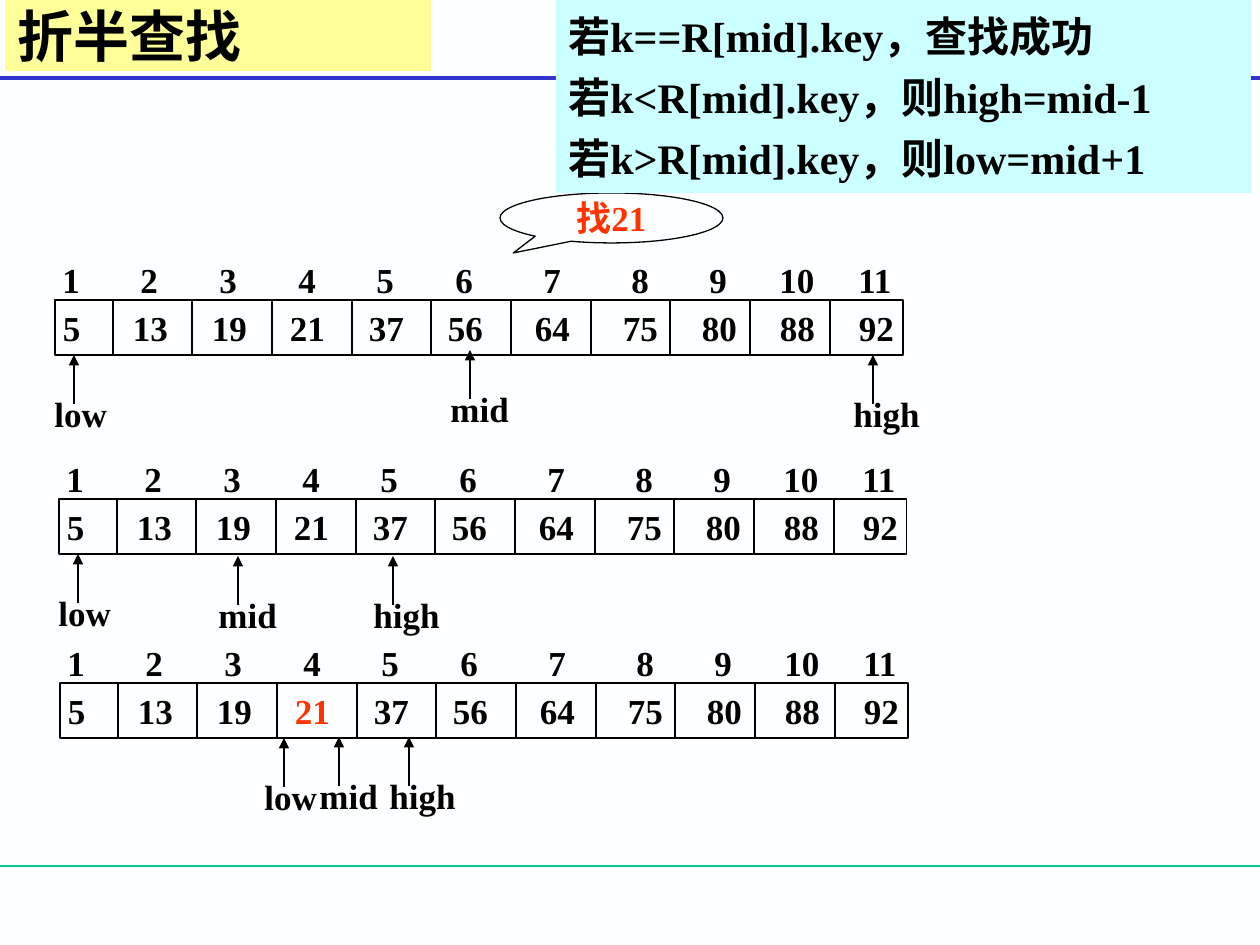
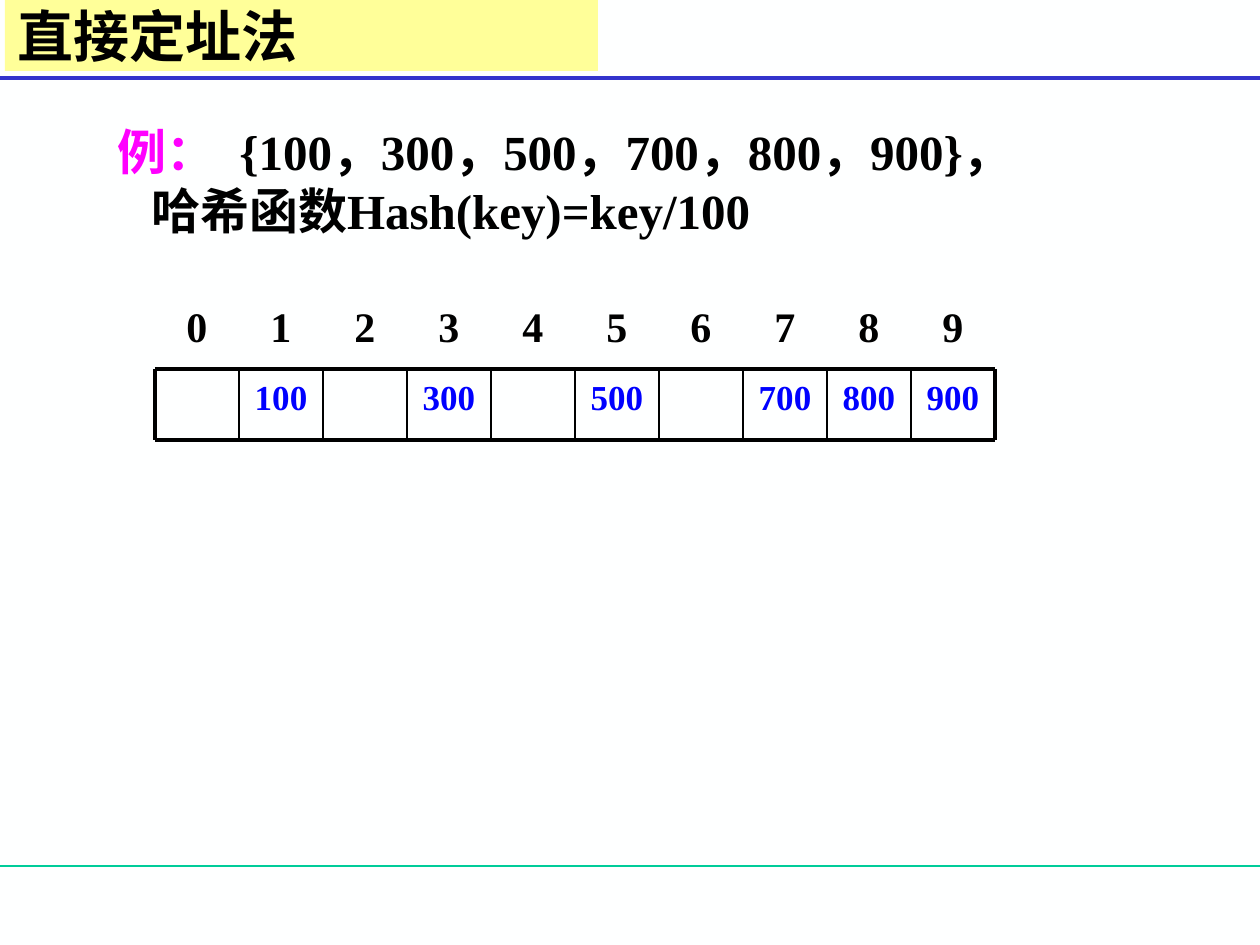
"""Build two slides on binary search and direct-address hashing."""
import lxml.etree
import pptx
import pptx.dml.color
import pptx.enum.shapes
import pptx.enum.text
import pptx.oxml.ns
import pptx.util

PX = 914400 // 126
WIDTH, HEIGHT = 1260, 945
LATIN, CJK = "Times New Roman", "Noto Sans CJK SC"
COLOURS = {
    "background": "FEFFFF", "black": "000000", "red": "FF3300",
    "blue": "0000FF", "magenta": "FF00FF", "title": "FFFF99",
    "rules": "CCFFFF", "header_line": "3333CC", "footer_line": "00CC99",
}
ALIGN = pptx.enum.text.PP_ALIGN
SHAPE = pptx.enum.shapes.MSO_SHAPE

INDEXES = [str(number) for number in range(1, 12)]
KEYS = "5 13 19 21 37 56 64 75 80 88 92".split()
INDEX_TABS = [78, 157, 236, 314, 393, 481, 569, 647, 717, 796]
KEY_TABS = [70, 149, 227, 306, 385, 472, 560, 639, 717, 796]
ARRAY_WIDTH, ARRAY_HEIGHT = 848, 55
LABEL_WIDTHS = {"low": 77, "mid": 83, "high": 91}
SEARCH_STEPS = [
    (55, 300, None, [("low", 74, 355), ("mid", 470, 350), ("high", 873, 355)]),
    (59, 499, None, [("low", 78, 554), ("mid", 238, 556), ("high", 393, 556)]),
    (60, 683, "21", [("low", 284, 738), ("mid", 339, 737), ("high", 409, 737)]),
]
RULES = [
    "若k==R[mid].key，查找成功",
    "若k<R[mid].key，则high=mid-1",
    "若k>R[mid].key，则low=mid+1",
]
BUCKETS = 10
BUCKET_LEFT, BUCKET_TOP, BUCKET_WIDTH, BUCKET_HEIGHT = 155, 369, 84, 71


def emu(*lengths):
    """Turn px lengths into EMU."""
    return [length * PX for length in lengths]


def rgb(name):
    """Return a named colour."""
    return pptx.dml.color.RGBColor.from_string(COLOURS[name])


def add_child(parent, tag, **attributes):
    """Append a DrawingML element to a parent."""
    return lxml.etree.SubElement(parent, pptx.oxml.ns.qn(tag), attributes)


def write_paragraph(paragraph, runs, size, colour="black", font=LATIN,
                    align=ALIGN.LEFT, tabs=(), indent=0):
    """Fill a paragraph with (text, colour) runs in one bold font."""
    for text, run_colour in runs:
        run = paragraph.add_run()
        run.text = text
        if run_colour:
            run.font.color.rgb = rgb(run_colour)
    paragraph.alignment = align
    properties = paragraph._p.get_or_add_pPr()
    if indent:
        properties.set("marL", str(indent * PX))
    if tabs:
        tab_list = add_child(properties, "a:tabLst")
        for position in tabs:
            add_child(tab_list, "a:tab", pos=str(position * PX), algn="l")
    paragraph.font.size = pptx.util.Pt(size)
    paragraph.font.bold = True
    paragraph.font.color.rgb = rgb(colour)
    paragraph.font.name = font
    add_child(properties.find(pptx.oxml.ns.qn("a:defRPr")), "a:ea", typeface=CJK)


def add_text(slide, box, text, size, **style):
    """Add a text box holding one paragraph and return its frame."""
    frame = slide.shapes.add_textbox(*emu(*box)).text_frame
    frame.word_wrap = True
    runs = [(text, None)] if isinstance(text, str) else text
    write_paragraph(frame.paragraphs[0], runs, size, **style)
    return frame


def add_shape(slide, kind, box, fill=None, line=None):
    """Add a preset shape with middle-anchored text."""
    shape = slide.shapes.add_shape(kind, *emu(*box))
    shape.shadow.inherit = False
    if fill:
        shape.fill.solid()
        shape.fill.fore_color.rgb = rgb(fill)
    else:
        shape.fill.background()
    if line:
        shape.line.color.rgb = rgb(line)
        shape.line.width = pptx.util.Pt(0.75)
    else:
        shape.line.fill.background()
    shape.text_frame.word_wrap = True
    shape.text_frame.vertical_anchor = pptx.enum.text.MSO_ANCHOR.MIDDLE
    return shape


def add_line(slide, start, end, colour="black", width=0.75, arrow=False):
    """Draw a straight line, with an arrowhead at its end if asked."""
    connector = slide.shapes.add_connector(
        pptx.enum.shapes.MSO_CONNECTOR.STRAIGHT, *emu(*start, *end))
    connector.line.color.rgb = rgb(colour)
    connector.line.width = pptx.util.Pt(width)
    if arrow:
        add_child(connector.line._get_or_add_ln(), "a:tailEnd", type="triangle")
    add_child(connector._element.spPr, "a:effectLst")


def add_slide(presentation):
    """Add a blank slide with the shared background and rules."""
    slide = presentation.slides.add_slide(presentation.slide_layouts[6])
    slide.background.fill.solid()
    slide.background.fill.fore_color.rgb = rgb("background")
    add_line(slide, (0, 866), (WIDTH, 866), "footer_line")
    add_line(slide, (0, 78), (WIDTH, 78), "header_line", 2.25)
    return slide


def add_title(slide, text, width):
    """Add the yellow title band."""
    band = add_shape(slide, SHAPE.RECTANGLE, (5, 0, width, 71), fill="title")
    write_paragraph(band.text_frame.paragraphs[0], [(text, None)], 32, font=CJK)


def add_array(slide, left, top, found):
    """Draw the indexed key array, with the found key in red."""
    add_text(slide, (left - 5, top - 48, 858, 55), "\t".join(INDEXES), 20,
             tabs=INDEX_TABS)
    array = add_shape(slide, SHAPE.RECTANGLE,
                      (left, top, ARRAY_WIDTH, ARRAY_HEIGHT), line="black")
    frame = array.text_frame
    frame.margin_left, frame.margin_right = emu(8, 0)
    runs = []
    for position, key in enumerate(KEYS):
        if position:
            runs.append(("\t", None))
        runs.append((key, "red" if key == found else None))
    write_paragraph(frame.paragraphs[0], runs, 20, tabs=KEY_TABS)
    for divider in range(len(KEYS) - 1):
        x = left + 58 + divider * 717 // 9
        add_line(slide, (x, top), (x, top + ARRAY_HEIGHT))


def add_pointer(slide, label, x, tip):
    """Draw an upward arrow with its label on one line below."""
    add_line(slide, (x, tip + 49), (x, tip), arrow=True)
    frame = add_text(slide, (x - 32, tip + 31, LABEL_WIDTHS[label], 55), label, 20)
    frame.margin_right = 0


def add_buckets(slide):
    """Draw the hash table with its bucket numbers and keys."""
    add_text(slide, (174, 294, 842, 63), "\t".join(map(str, range(BUCKETS))), 24,
             tabs=[BUCKET_WIDTH * step for step in range(1, BUCKETS)])
    for key in (100, 300, 500, 700, 800, 900):
        left = BUCKET_LEFT + key // 100 * BUCKET_WIDTH
        add_text(slide, (left, BUCKET_TOP, BUCKET_WIDTH, BUCKET_HEIGHT),
                 str(key), 20, colour="blue", align=ALIGN.CENTER)
    right = BUCKET_LEFT + BUCKETS * BUCKET_WIDTH
    bottom = BUCKET_TOP + BUCKET_HEIGHT
    for y in (BUCKET_TOP, bottom):
        add_line(slide, (BUCKET_LEFT, y), (right, y), width=2.25)
    for edge in range(BUCKETS + 1):
        x = BUCKET_LEFT + edge * BUCKET_WIDTH
        add_line(slide, (x, BUCKET_TOP), (x, bottom),
                 width=2.25 if edge in (0, BUCKETS) else 1)


def build_binary_search(presentation):
    """Build the slide that traces a binary search for 21."""
    slide = add_slide(presentation)
    for left, top, found, pointers in SEARCH_STEPS:
        add_array(slide, left, top, found)
        for label, x, tip in pointers:
            add_pointer(slide, label, x, tip)
    callout = add_shape(slide, SHAPE.OVAL_CALLOUT, (500, 193, 223, 50), line="black")
    callout.adjustments[0], callout.adjustments[1] = -0.44, 0.7
    callout.text_frame.word_wrap = False
    write_paragraph(callout.text_frame.paragraphs[0], [("找21", None)], 20,
                    colour="red", align=ALIGN.CENTER)
    add_title(slide, "折半查找", 426)
    frame = add_shape(slide, SHAPE.RECTANGLE, (556, 0, 695, 193),
                      fill="rules").text_frame
    for position, rule in enumerate(RULES):
        paragraph = frame.add_paragraph() if position else frame.paragraphs[0]
        if position:
            paragraph.space_before = pptx.util.Pt(6)
        write_paragraph(paragraph, [(rule, None)], 24)


def build_direct_addressing(presentation):
    """Build the slide on direct addressing."""
    slide = add_slide(presentation)
    example = [("例：", "magenta"), ("\t{100，300，500，700，800，900}，", None)]
    frame = add_text(slide, (105, 115, 1050, 131), example, 28,
                     align=ALIGN.JUSTIFY, tabs=[122])
    write_paragraph(frame.add_paragraph(), [("哈希函数Hash(key)=key/100", None)], 28,
                    align=ALIGN.JUSTIFY, indent=34)
    add_buckets(slide)
    add_title(slide, "直接定址法", 593)


def main():
    """Build and save the presentation."""
    presentation = pptx.Presentation()
    presentation.slide_width, presentation.slide_height = emu(WIDTH, HEIGHT)
    build_binary_search(presentation)
    build_direct_addressing(presentation)
    presentation.save("out.pptx")


if __name__ == "__main__":
    main()
